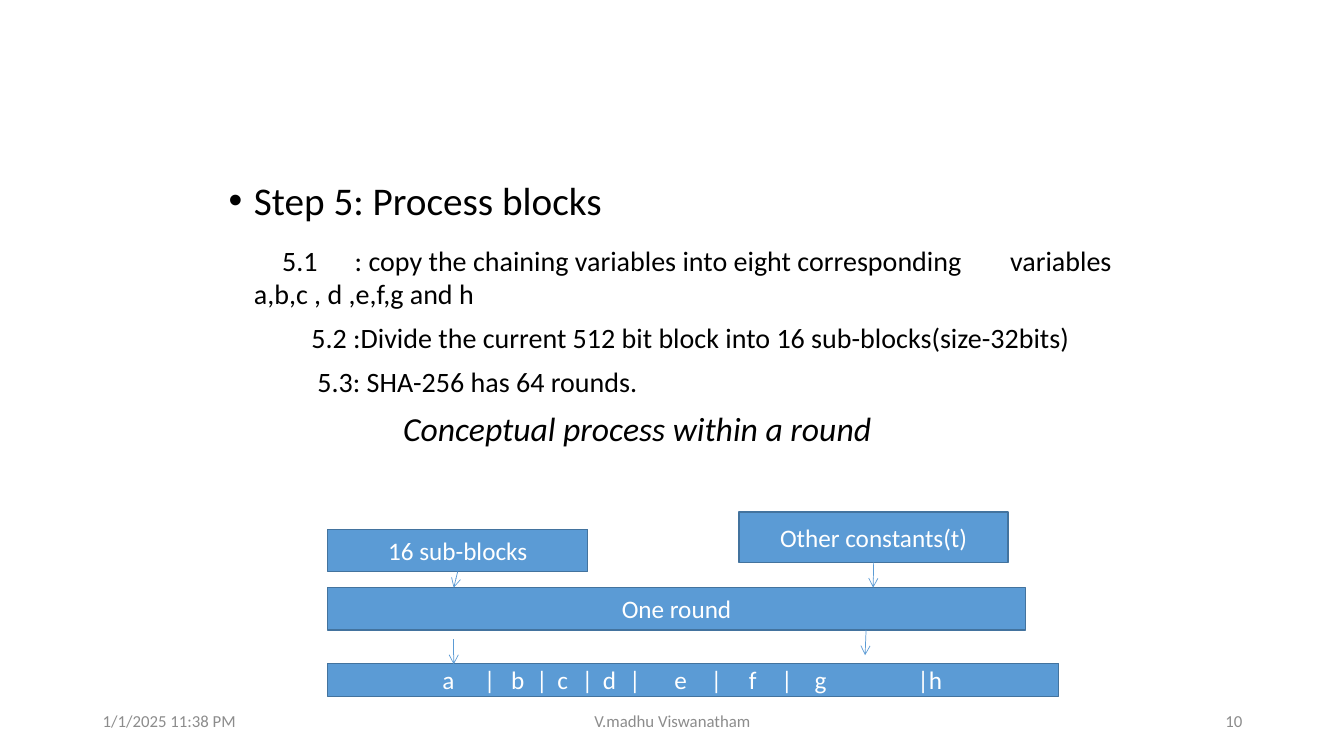
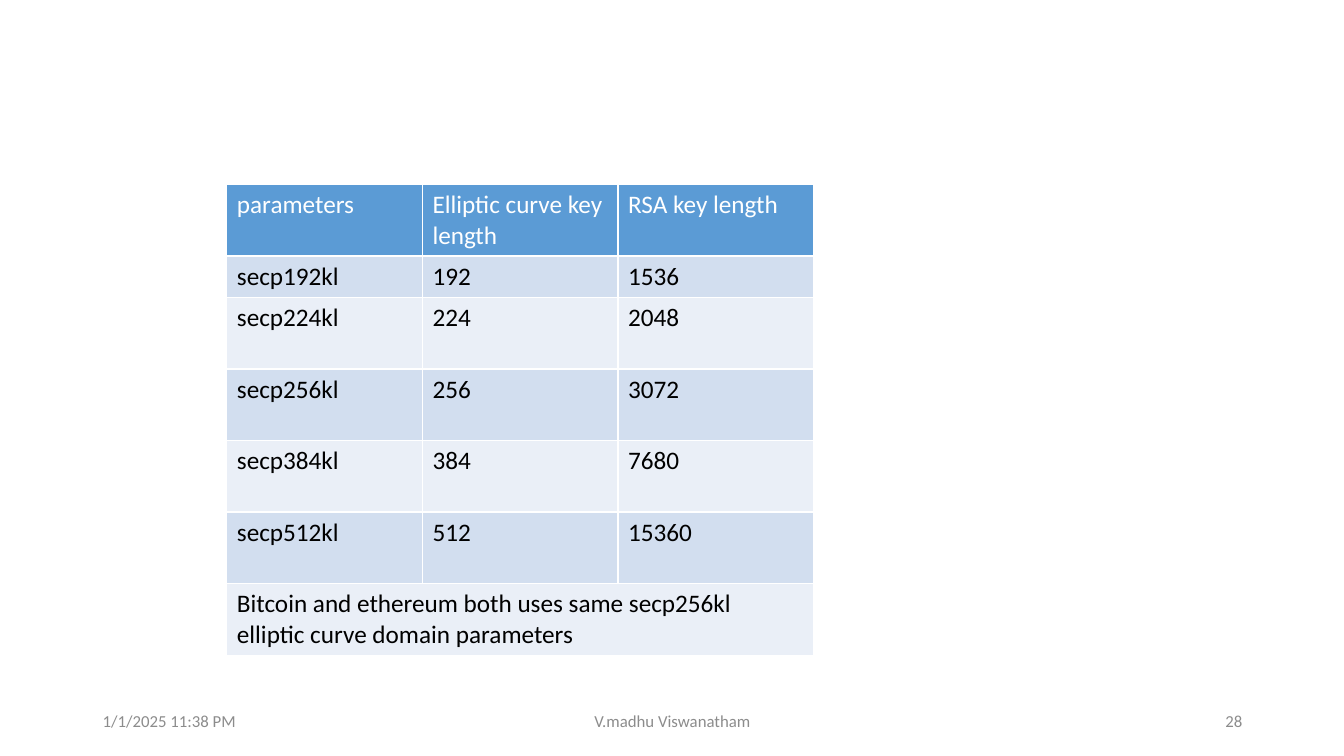
from dataclasses import dataclass

from lxml.etree import SubElement
from pptx import Presentation
from pptx.dml.color import RGBColor
from pptx.enum.shapes import MSO_CONNECTOR, MSO_SHAPE
from pptx.enum.text import MSO_ANCHOR, PP_ALIGN
from pptx.oxml.ns import qn
from pptx.util import Inches, Pt

FONT = "Calibri"
COLORS = {
    "blue": "5B9BD5",
    "edge": "43739E",
    "dark": "D2DEEF",
    "light": "EAEFF7",
    "white": "FFFFFF",
    "black": "000000",
    "gray": "8C8C8C",
}


@dataclass(frozen=True)
class Step:
    text: str
    size: int
    indent: float
    bullet: bool = False
    italic: bool = False
    tabs: tuple[float, ...] = ()


@dataclass(frozen=True)
class Box:
    text: str
    left: float
    top: float
    width: float
    height: float
    tabs: tuple[float, ...] = ()


@dataclass(frozen=True)
class Arrow:
    start: tuple[float, float]
    end: tuple[float, float]
    source: int | None = None


@dataclass(frozen=True)
class Footer:
    left: float
    width: float
    align: PP_ALIGN


STEPS = (
    Step("Step 5: Process blocks", 28, -0.25, bullet=True),
    Step("5.1\t: copy the chaining variables into eight corresponding\t"
         "variables a,b,c , d ,e,f,g and h", 20, 0.28, tabs=(1.14, 7.33)),
    Step("5.2 :Divide the current 512 bit block into 16 sub-blocks(size-32bits)",
         20, 0.57),
    Step("5.3: SHA-256 has 64 rounds.", 20, 0.63),
    Step("Conceptual process within a round", 24, 1.48, italic=True),
)
BOXES = (
    Box("16 sub-blocks", 3.25, 5.25, 2.58, 0.42),
    Box("One round", 3.25, 5.83, 6.92, 0.42),
    Box("Other constants(t)", 7.33, 5.08, 2.67, 0.5),
    Box("\ta\t|\tb\t|\tc\t|\td\t|\te\t|\tf\t|\tg\t|h", 3.25, 6.58, 7.25, 0.33,
        (1.04, 1.45, 1.72, 1.97, 2.18, 2.42, 2.63, 2.89,
         3.34, 3.7, 4.08, 4.4, 4.73, 5.75)),
)
ARROWS = (
    Arrow((4.54, 5.67), (4.5, 5.83), 0),
    Arrow((8.67, 5.58), (8.66, 5.83), 2),
    Arrow((8.59, 6.25), (8.58, 6.5)),
    Arrow((4.5, 6.34), (4.5, 6.59)),
)
FOOTERS = (
    Footer(0.92, 3, PP_ALIGN.LEFT),
    Footer(4.42, 4.5, PP_ALIGN.CENTER),
    Footer(9.42, 3, PP_ALIGN.RIGHT),
)
ROWS = (
    ("parameters", "Elliptic curve key length", "RSA key length"),
    ("secp192kl", "192", "1536"),
    ("secp224kl", "224", "2048"),
    ("secp256kl", "256", "3072"),
    ("secp384kl", "384", "7680"),
    ("secp512kl", "512", "15360"),
    ("Bitcoin and ethereum both uses same secp256kl elliptic curve "
     "domain parameters",),
)


def color(name: str) -> RGBColor:
    return RGBColor.from_string(COLORS[name])


def style(para, size: int, tint: str) -> None:
    font = para.font
    font.name, font.size = FONT, Pt(size)
    font.color.rgb = color(tint)


def add_tabs(para, stops: tuple[float, ...]) -> None:
    if stops:
        tabs = SubElement(para._p.get_or_add_pPr(), qn("a:tabLst"))
        for stop in stops:
            SubElement(tabs, qn("a:tab"), pos=str(Inches(stop)), algn="l")


def add_footer(slide, number: str) -> None:
    texts = ("1/1/2025 11:38 PM", "V.madhu Viswanatham", number)
    for item, text in zip(FOOTERS, texts):
        frame = slide.shapes.add_textbox(
            Inches(item.left), Inches(6.95), Inches(item.width), Inches(0.4)
        ).text_frame
        frame.word_wrap = True
        frame.vertical_anchor = MSO_ANCHOR.MIDDLE
        para = frame.paragraphs[0]
        para.text, para.alignment = text, item.align
        style(para, 12, "gray")


def add_steps(slide) -> None:
    frame = slide.shapes.add_textbox(
        Inches(2.17), Inches(1.75), Inches(9), Inches(5.33)
    ).text_frame
    frame.word_wrap = True
    for index, step in enumerate(STEPS):
        para = frame.add_paragraph() if index else frame.paragraphs[0]
        para.line_spacing = 0.9
        if index:
            para.space_before = Pt(10)
        props = para._p.get_or_add_pPr()
        props.set("marL", str(Inches(0.25)))
        props.set("indent", str(Inches(step.indent)))
        if step.bullet:
            SubElement(props, qn("a:buFont"), typeface="Arial")
            SubElement(props, qn("a:buChar"), char="•")
        add_tabs(para, step.tabs)
        style(para, step.size, "black")
        para.font.italic = step.italic
        head, tab, rest = step.text.partition("\t")
        para.add_run().text = head
        if tab:
            gap = para.add_run()
            gap.text, gap.font.size = tab, Pt(28)
            para.add_run().text = rest


def add_box(slide, box: Box):
    shape = slide.shapes.add_shape(
        MSO_SHAPE.RECTANGLE, Inches(box.left), Inches(box.top),
        Inches(box.width), Inches(box.height)
    )
    shape.shadow.inherit = False
    shape.fill.solid()
    shape.fill.fore_color.rgb = color("blue")
    shape.line.color.rgb = color("edge")
    shape.line.width = Pt(1)
    frame = shape.text_frame
    frame.word_wrap = True
    frame.vertical_anchor = MSO_ANCHOR.MIDDLE
    para = frame.paragraphs[0]
    para.text = box.text
    para.alignment = PP_ALIGN.LEFT if box.tabs else PP_ALIGN.CENTER
    add_tabs(para, box.tabs)
    style(para, 18, "white")
    return shape


def add_arrow(slide, arrow: Arrow, shapes: list) -> None:
    ends = [Inches(value) for value in arrow.start + arrow.end]
    link = slide.shapes.add_connector(MSO_CONNECTOR.STRAIGHT, *ends)
    if arrow.source is not None:
        link.begin_connect(shapes[arrow.source], 2)
    link.line.color.rgb = color("blue")
    link.line.width = Pt(0.5)
    SubElement(link.line._get_or_add_ln(), qn("a:tailEnd"), type="arrow")
    SubElement(link._element.spPr, qn("a:effectLst"))


def add_edges(cell) -> None:
    props = cell._tc.get_or_add_tcPr()
    for index, side in enumerate(("lnL", "lnR", "lnT", "lnB")):
        line = props.makeelement(qn(f"a:{side}"), {"w": str(Pt(1))})
        fill = SubElement(line, qn("a:solidFill"))
        SubElement(fill, qn("a:srgbClr"), val=COLORS["white"])
        props.insert(index, line)


def add_grid(slide) -> None:
    table = slide.shapes.add_table(
        len(ROWS), 3, Inches(2.25), Inches(1.83), Inches(5.83), Inches(4.67)
    ).table
    for col in table.columns:
        col.width = Inches(1.94)
    for index, texts in enumerate(ROWS):
        table.rows[index].height = Inches(0.41 if index == 1 else 0.71)
        fill = ("dark" if index % 2 else "light") if index else "blue"
        for cell in table.rows[index].cells:
            cell.fill.solid()
            cell.fill.fore_color.rgb = color(fill)
            add_edges(cell)
        for cell, text in zip(table.rows[index].cells, texts):
            para = cell.text_frame.paragraphs[0]
            para.text = text
            style(para, 18, "black" if index else "white")
            para.font.bold = False
    last = len(ROWS) - 1
    table.cell(last, 0).merge(table.cell(last, 2))


def main() -> None:
    deck = Presentation()
    deck.slide_width, deck.slide_height = Inches(13.33), Inches(7.5)
    blank = deck.slide_layouts[6]

    rounds = deck.slides.add_slide(blank)
    add_steps(rounds)
    add_footer(rounds, "10")
    shapes = [add_box(rounds, box) for box in BOXES]
    for arrow in ARROWS:
        add_arrow(rounds, arrow, shapes)

    curves = deck.slides.add_slide(blank)
    add_grid(curves)
    add_footer(curves, "28")
    deck.save("out.pptx")


if __name__ == "__main__":
    main()
